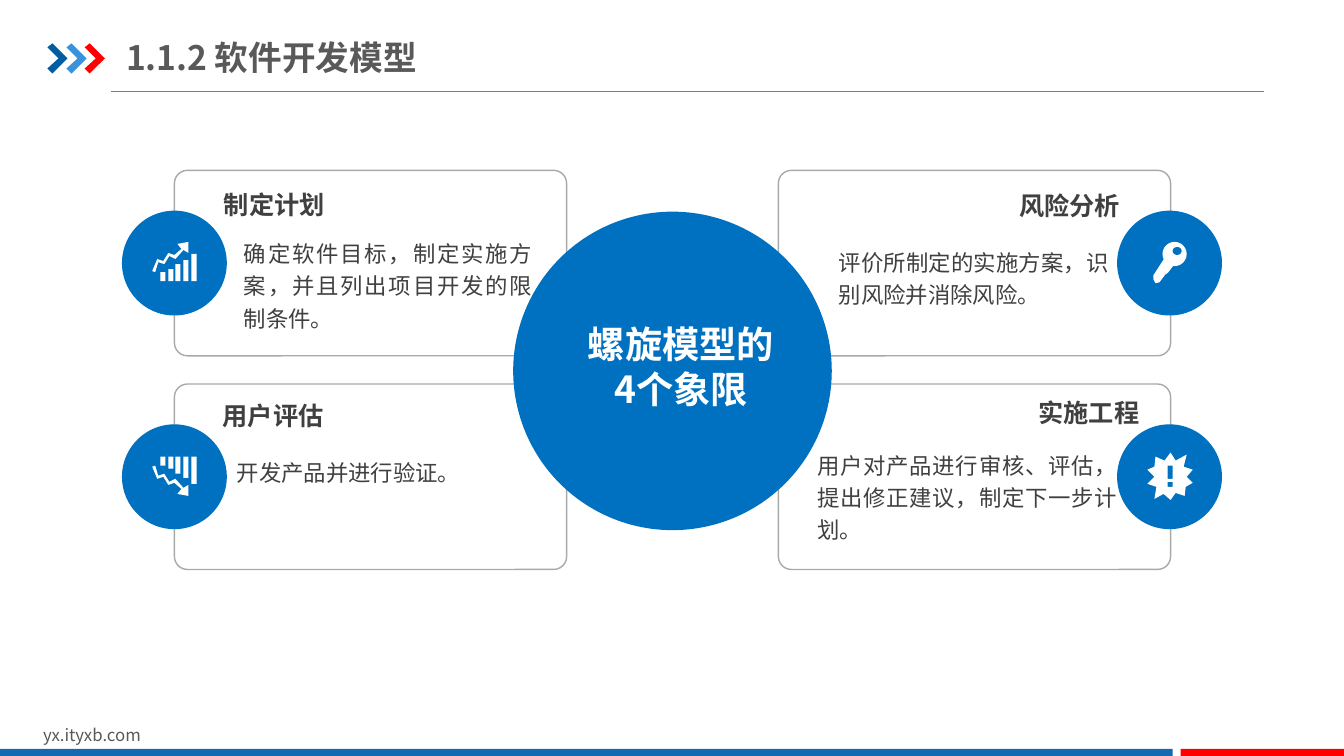
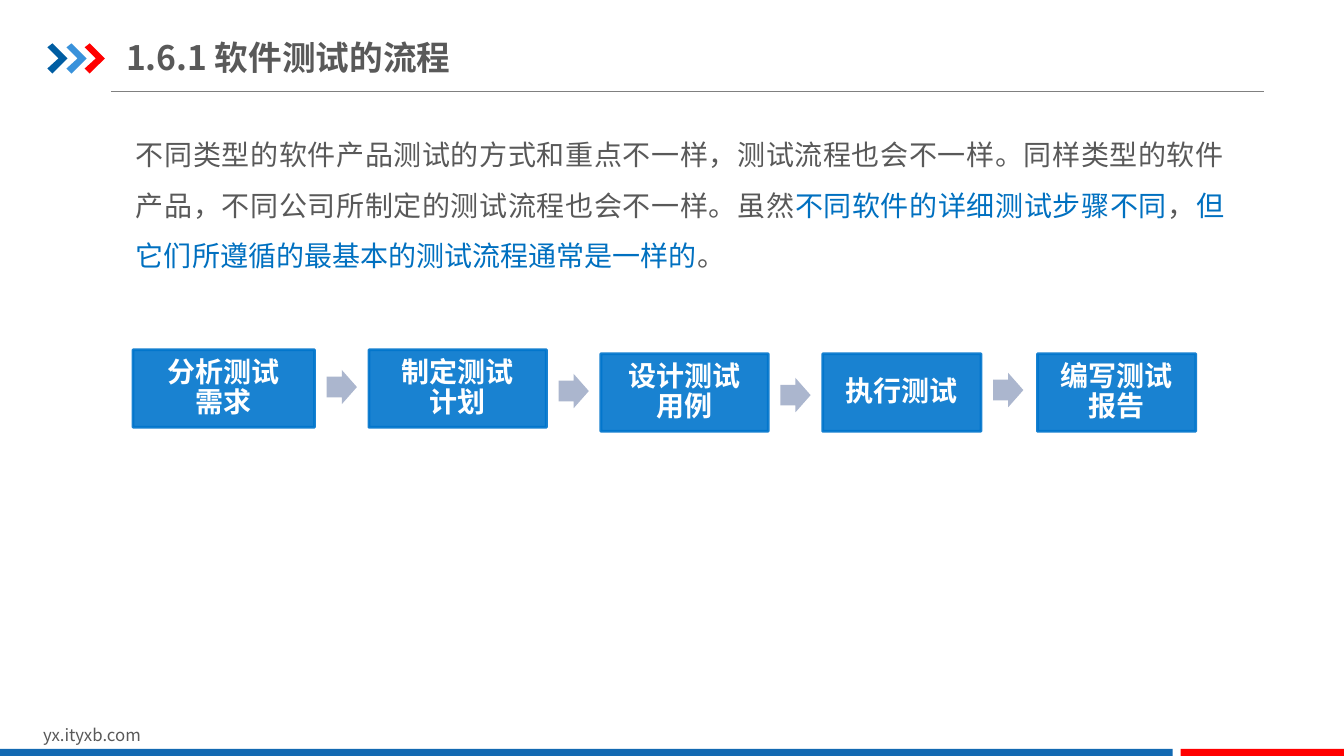
from lxml import etree
from pptx import Presentation
from pptx.dml.color import RGBColor
from pptx.enum.shapes import MSO_CONNECTOR, MSO_SHAPE
from pptx.enum.text import MSO_ANCHOR, PP_ALIGN
from pptx.oxml.ns import qn
from pptx.util import Pt

PX = 9144  # EMU: 100 px to the inch
WIDTH, HEIGHT = 1333, 750
TITLE_ONLY = 5
FONT = "Noto Sans CJK SC"

BLUE, RED, WHITE = "0070C0", "FF0000", "FFFFFF"
GREY, DARK, RULE, OUTLINE = "595959", "404040", "808080", "A6AAA9"
BAR, STEP, ARROW = "1369B2", "0075CC", "ABB6CE"
CHEVRONS = ((47, "005DA2"), (66, "3992DB"), (84, RED))

RECT, ROUND_RECT = MSO_SHAPE.RECTANGLE, MSO_SHAPE.ROUNDED_RECTANGLE
OVAL, RIGHT_ARROW = MSO_SHAPE.OVAL, MSO_SHAPE.RIGHT_ARROW
STRAIGHT = MSO_CONNECTOR.STRAIGHT
LEFT, CENTER, RIGHT, JUSTIFY = (PP_ALIGN.LEFT, PP_ALIGN.CENTER,
                                PP_ALIGN.RIGHT, PP_ALIGN.JUSTIFY)
TOP, MIDDLE = MSO_ANCHOR.TOP, MSO_ANCHOR.MIDDLE


def px(*values):
    return [value * PX for value in values]


def rgb(hex_color):
    return RGBColor.from_string(hex_color)


class Deck:
    """Holds the style, the shared layout and the current slide."""

    def __init__(self):
        self.prs = Presentation()
        self.prs.slide_width, self.prs.slide_height = px(WIDTH, HEIGHT)
        self.layout = self.prs.slide_layouts[TITLE_ONLY]
        self.slide = None

    def new_slide(self, title):
        first = self.slide is None
        self.slide = self.prs.slides.add_slide(self.layout)
        if first:
            self.furnish_layout()
        sp = self.slide.shapes.title
        sp.left, sp.top, sp.width, sp.height = px(125, 29, 1100, 55)
        self.set_text(sp, title, 24, GREY, bold=True, anchor=MIDDLE, inset=(0, 7))

    def furnish_layout(self):
        """Draw the shared parts once and move them to the layout."""
        parts = [self.line(110, 91, 1254, 91, RULE, 0.75)]
        for x, color in CHEVRONS:
            points = [(0, 4), (5, 0), (20, 15), (5, 30), (0, 25), (11, 15)]
            parts.append(self.outline([[(x + dx, 43 + dy) for dx, dy in points]], color))
        parts.append(self.text(33, 714, 318, 30, "yx.ityxb.com", 12, GREY, inset=(10, 5)))
        parts.append(self.shape(RECT, 0, 743, 1163, 7, BAR))
        parts.append(self.shape(RECT, 1171, 743, 162, 7, RED))
        for sp in parts:
            self.layout.shapes.element.append(sp.element)

    def paint(self, sp, fill=None, line=None, width=1.0, opacity=100):
        sp.shadow.inherit = False
        if fill:
            sp.fill.solid()
            sp.fill.fore_color.rgb = rgb(fill)
        else:
            sp.fill.background()
        if line:
            sp.line.color.rgb = rgb(line)
            sp.line.width = Pt(width)
        else:
            sp.line.fill.background()
        if opacity < 100:
            for color in sp.element.spPr.iter(qn("a:srgbClr")):
                etree.SubElement(color, qn("a:alpha"), val=str(opacity * 1000))
        return sp

    def shape(self, kind, x, y, w, h, fill=None, adjust=(), **look):
        sp = self.slide.shapes.add_shape(kind, *px(x, y, w, h))
        for i, value in enumerate(adjust):
            sp.adjustments[i] = value
        return self.paint(sp, fill, **look)

    def outline(self, contours, fill):
        """Draw closed contours as one filled shape."""
        builder = self.slide.shapes.build_freeform(*contours[0][0], scale=PX)
        for i, points in enumerate(contours):
            if i:
                builder.move_to(*points[0])
            builder.add_line_segments(points[1:], close=True)
        return self.paint(builder.convert_to_shape(), fill)

    def line(self, x1, y1, x2, y2, color, width):
        cxn = self.slide.shapes.add_connector(STRAIGHT, *px(x1, y1, x2, y2))
        cxn.line.color.rgb = rgb(color)
        cxn.line.width = Pt(width)
        etree.SubElement(cxn.element.spPr, qn("a:effectLst"))
        return cxn

    def text(self, x, y, w, h, content, size, color, **style):
        sp = self.slide.shapes.add_textbox(*px(x, y, w, h))
        return self.set_text(sp, content, size, color, **style)

    def set_text(self, sp, content, size, color, bold=False, align=LEFT,
                 anchor=TOP, spacing=1.0, inset=(0, 0)):
        """Fill one paragraph with a string or with (text, color) runs."""
        tf = sp.text_frame
        tf.word_wrap = True
        tf.vertical_anchor = anchor
        tf.margin_left = tf.margin_right = inset[0] * PX
        tf.margin_top = tf.margin_bottom = inset[1] * PX
        p = tf.paragraphs[0]
        p.alignment = align
        p.line_spacing = spacing
        runs = [(content, color)] if isinstance(content, str) else content
        for words, run_color in runs:
            r = p.add_run()
            r.text = words
            r.font.size = Pt(size)
            r.font.bold = bold
            r.font.color.rgb = rgb(run_color)
            r.font.name = FONT
            etree.SubElement(r.font._element, qn("a:ea"), typeface=FONT)
        return sp


def trend_icon(deck, x, y, falling=False):
    """Draw five bars under a trend arrow, mirrored when falling."""
    arrow = [(0, 29), (5, 17), (11, 19), (16, 11), (22, 13), (29, 7), (25, 2),
             (36, 0), (36, 11), (31, 8), (23, 17), (17, 14), (12, 22), (6, 20), (3, 30)]
    contours = [arrow]
    for left, top in ((8, 30), (16, 27), (23, 22), (31, 18), (39, 12)):
        contours.append([(left, top), (left + 5, top), (left + 5, 39), (left, 39)])
    deck.outline([[(x + dx, y + (39 - dy if falling else dy)) for dx, dy in points]
                  for points in contours], WHITE)


def key_icon(deck):
    deck.outline([[(1155, 256), (1144, 273), (1144, 277), (1146, 281), (1150, 280),
                   (1156, 272), (1158, 271), (1165, 262)]], WHITE)
    deck.shape(OVAL, 1153, 240, 24, 24, WHITE)
    deck.shape(OVAL, 1163, 245, 9, 8, BLUE)


def alert_icon(deck):
    badge = [(1183, 479), (1177, 473), (1183, 466), (1174, 463), (1177, 451),
             (1166, 457), (1161, 449), (1155, 457), (1146, 453), (1145, 463),
             (1138, 466), (1145, 473), (1138, 480), (1147, 483), (1145, 495),
             (1154, 490), (1161, 496), (1166, 489), (1175, 492), (1176, 483)]
    mark = [[(1158, top), (1163, top), (1163, bottom), (1158, bottom)]
            for top, bottom in ((462, 475), (478, 483))]
    deck.outline([badge] + mark, WHITE)


def spiral_slide(deck):
    deck.new_slide("1.1.2 软件开发模型")
    for x in (173, 772):
        for y in (169, 381):
            deck.shape(ROUND_RECT, x, y, 389, 184, line=OUTLINE, adjust=[0.07])
    deck.shape(OVAL, 509, 210, 316, 316, BLUE)
    quadrants = (
        ("制定计划", 222, 178, LEFT, "确定软件目标，制定实施方案，并且列出项目开发的限制条件。", 242, 233, 286),
        ("用户评估", 221, 387, LEFT, "开发产品并进行验证。", 235, 450, 293),
        ("风险分析", 907, 182, RIGHT, "评价所制定的实施方案，识别风险并消除风险。", 832, 242, 268),
        ("实施工程", 926, 387, RIGHT, "用户对产品进行审核、评估，提出修正建议，制定下一步计划。", 811, 443, 297),
    )
    for heading, hx, hy, align, detail, x, y, w in quadrants:
        deck.text(hx, hy, 204, 44, heading, 18, DARK, bold=True, align=align,
                  anchor=MIDDLE, spacing=1.2 if align == LEFT else 1.0)
        deck.text(x, y, w, 95, detail, 16, DARK, align=JUSTIFY, spacing=1.2)
    for x in (121, 1108):
        for y in (209, 421):
            deck.shape(OVAL, x, y, 104, 104, BLUE)
    trend_icon(deck, 151, 240)
    trend_icon(deck, 151, 453, falling=True)
    key_icon(deck)
    alert_icon(deck)
    deck.text(583, 320, 185, 87, "螺旋模型的4个象限", 26.6, WHITE, bold=True,
              align=CENTER, anchor=MIDDLE)


def process_slide(deck):
    deck.new_slide("1.6.1 软件测试的流程")
    intro = [
        ("不同类型的软件产品测试的方式和重点不一样，测试流程也会不一样。"
         "同样类型的软件产品，不同公司所制定的测试流程也会不一样。虽然", GREY),
        ("不同软件的详细测试步骤不同", BLUE),
        ("，", GREY),
        ("但它们所遵循的最基本的测试流程通常是一样的", BLUE),
        ("。", GREY),
    ]
    deck.text(125, 115, 1099, 162, intro, 20, GREY, align=JUSTIFY, spacing=1.5,
              inset=(10, 5))
    steps = (("分析测试需求", 132, 347, 180), ("制定测试计划", 366, 347, 176),
             ("设计测试用例", 596, 351, 166), ("执行测试", 816, 351, 157),
             ("编写测试报告", 1029, 351, 157))
    for name, x, y, w in steps:
        sp = deck.shape(RECT, x, y, w, 77, STEP, line=STEP, width=2, opacity=90)
        deck.set_text(sp, name, 20, WHITE, bold=True, align=CENTER, anchor=MIDDLE,
                      spacing=0.9, inset=(21, 4))
    for (_, x, _, w), y in zip(steps, (367, 371, 375, 370)):
        deck.shape(RIGHT_ARROW, x + w + 12, y, 30, 34, ARROW, adjust=[0.6, 0.5])


def main():
    deck = Deck()
    spiral_slide(deck)
    process_slide(deck)
    deck.prs.save("out.pptx")


if __name__ == "__main__":
    main()
